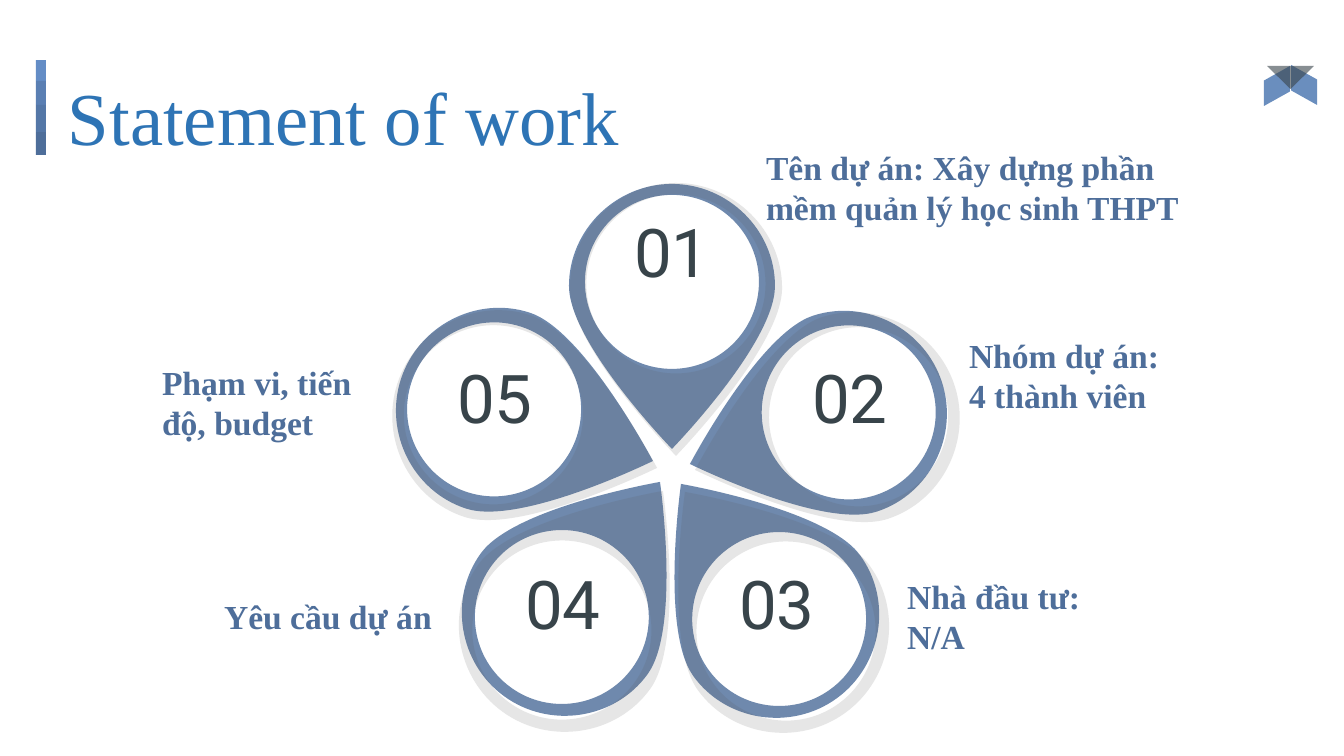
from math import cos, radians, sin

from lxml.etree import SubElement
from pptx import Presentation
from pptx.dml.color import RGBColor
from pptx.enum.shapes import MSO_SHAPE as Preset
from pptx.enum.text import MSO_ANCHOR as Anchor, PP_ALIGN as Align
from pptx.oxml.ns import qn
from pptx.util import Pt

PX = 9144000 / 1344

THEME = {
    "title": "2E74B5",
    "petal": "4E6E9A",
    "shade": "595959",
    "dark": "38444A",
    "ribbon": "5E85B9",
    "bars": ["648DC6", "5A7FB3", "5477A7", "4E6E9A"],
    "serif": "Times New Roman",
    "sans": "Roboto",
    "title_size": 40,
    "number_size": 36,
    "label_size": 18,
}

presentation = Presentation()
presentation.slide_width = round(1344 * PX)
presentation.slide_height = round(756 * PX)
slide = presentation.slides.add_slide(presentation.slide_layouts[6])
shapes = slide.shapes


def write_text(text, box, *, size, color, font=THEME["serif"], bold=False,
               align=Align.LEFT, anchor=Anchor.TOP):
    frame = shapes.add_textbox(*[round(length * PX) for length in box]).text_frame
    frame.word_wrap = True
    frame.vertical_anchor = anchor
    frame.margin_left = frame.margin_right = round(13 * PX)
    frame.margin_top = frame.margin_bottom = round(13 * PX)
    frame.text = text
    for paragraph in frame.paragraphs:
        paragraph.alignment = align
        for run in paragraph.runs:
            run.font.name = font
            run.font.size = Pt(size)
            run.font.bold = bold
            run.font.color.rgb = RGBColor.from_string(color)


def paint(shape, color, opacity=100):
    shape.shadow.inherit = False
    shape.line.fill.background()
    shape.fill.solid()
    shape.fill.fore_color.rgb = RGBColor.from_string(color)
    if opacity < 100:
        color_element = shape._element.spPr.find(qn("a:solidFill"))[0]
        SubElement(color_element, qn("a:alpha"), val=str(opacity * 1000))


bar_edges = [60, 81, 105, 132, 155]
for top, bottom, color in zip(bar_edges, bar_edges[1:], THEME["bars"]):
    bar = shapes.add_shape(Preset.RECTANGLE, *[round(length * PX) for length in (36, top, 10, bottom - top)])
    paint(bar, color)

write_text("Statement of work", (55, 58, 1243, 85), size=THEME["title_size"], color=THEME["title"])

petal_half = [(0, -265), (56, -265), (103, -219), (103, -163), (103, -106), (0, 0), (0, 0)]
hole_half = [(0, -80), (48, -80), (87, -119), (87, -167), (87, -215), (48, -254), (0, -254)]
outlines = [
    half + [(-x, y) for x, y in reversed(half[:-1])]
    for half in (petal_half, hole_half)
]

petal_tips = [(672, 449), (690, 464), (681, 484), (660, 482), (653, 461)]
shade_tips = [(676, 456), (695, 470), (685, 492), (663, 491), (657, 468)]
flowers = [
    (petal_tips, 1, THEME["petal"], 81),
    (shade_tips, 1.03, THEME["shade"], 15),
]
for tips, growth, color, opacity in flowers:
    for index, (tip_x, tip_y) in enumerate(tips):
        angle = radians(72 * index)
        petal_edge, hole_edge = [
            [
                (
                    round((tip_x + growth * (x * cos(angle) - y * sin(angle))) * PX),
                    round((tip_y + growth * (x * sin(angle) + y * cos(angle))) * PX),
                )
                for x, y in outline
            ]
            for outline in outlines
        ]
        builder = shapes.build_freeform(*petal_edge[0])
        builder.add_line_segments(petal_edge[1:], close=True)
        builder.move_to(*hole_edge[0])
        builder.add_line_segments(hole_edge[1:], close=True)
        petal = builder.convert_to_shape()
        segments = list(petal._element.iter(qn("a:lnTo")))
        for first, second, end in zip(segments[::3], segments[1::3], segments[2::3]):
            curve = SubElement(first.getparent(), qn("a:cubicBezTo"))
            first.addprevious(curve)
            for segment in (first, second, end):
                curve.append(segment[0])
                segment.getparent().remove(segment)
        paint(petal, color, opacity)

numbers = [("01", 614, 202), ("02", 792, 348), ("03", 719, 554), ("04", 505, 554), ("05", 437, 348)]
for number, left, top in numbers:
    write_text(number, (left, top, 116, 97), size=THEME["number_size"], color=THEME["dark"],
               font=THEME["sans"], align=Align.CENTER, anchor=Anchor.MIDDLE)

ribbon_parts = [
    (Preset.PARALLELOGRAM, (1284, 72, 40, 26), 90, False, 0.56, THEME["ribbon"], 92),
    (Preset.PARALLELOGRAM, (1257, 73, 40, 26), 90, True, 0.56, THEME["ribbon"], 92),
    (Preset.ISOSCELES_TRIANGLE, (1267, 66, 47, 23), 180, False, 0.5, THEME["dark"], 60),
]
for preset, box, rotation, flipped, adjustment, color, opacity in ribbon_parts:
    part = shapes.add_shape(preset, *[round(length * PX) for length in box])
    part.rotation = rotation
    part.adjustments[0] = adjustment
    if flipped:
        part._element.spPr.find(qn("a:xfrm")).set("flipH", "1")
    paint(part, color, opacity)

labels = [
    ("Yêu cầu dự án", 211, 583, 241),
    ("Phạm vi, tiến độ, budget", 149, 349, 241),
    ("Tên dự án: Xây dựng phần mềm quản lý học sinh THPT", 753, 134, 457),
    ("Nhóm dự án: 4 thành viên", 956, 322, 241),
    ("Nhà đầu tư:\nN/A", 894, 563, 241),
]
for text, left, top, width in labels:
    write_text(text, (left, top, width, 51), size=THEME["label_size"], color=THEME["petal"], bold=True)

presentation.save("out.pptx")
